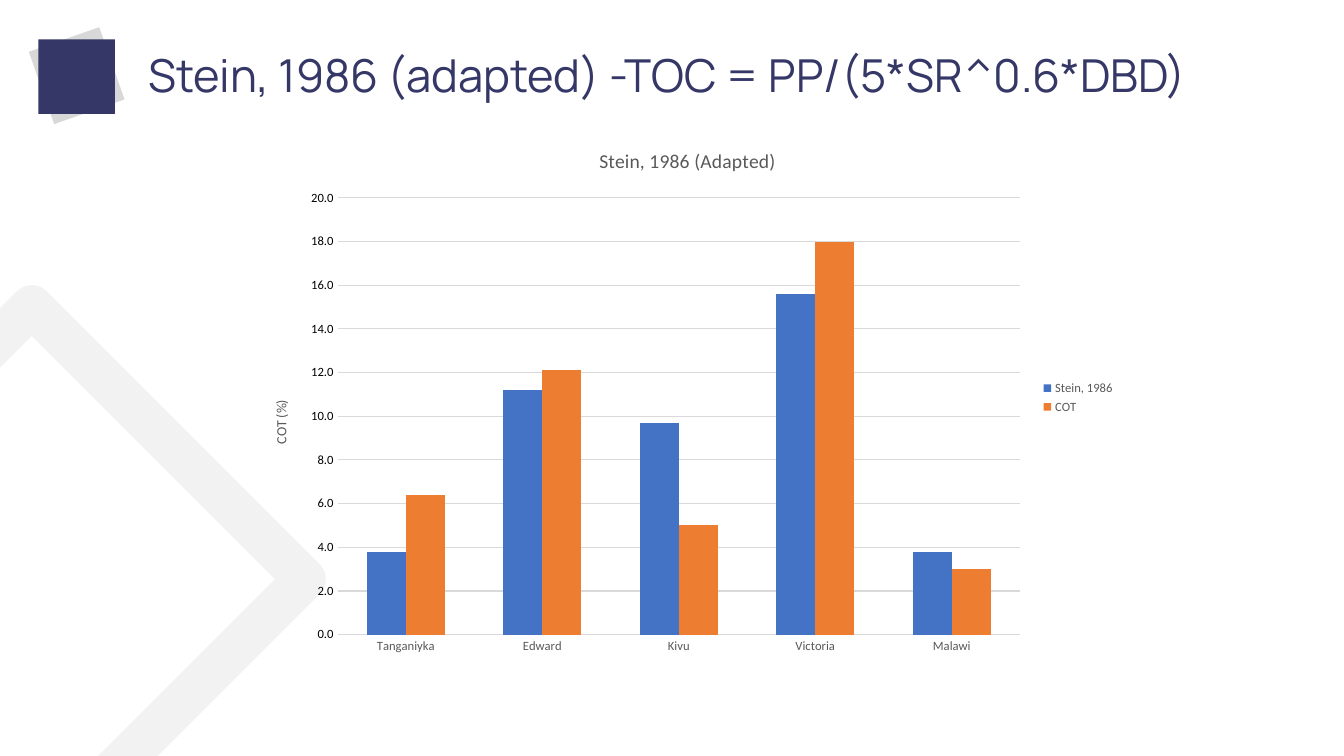
from lxml.etree import SubElement
from pptx import Presentation
from pptx.chart.data import CategoryChartData as ChartData
from pptx.dml.color import RGBColor
from pptx.enum.chart import XL_CHART_TYPE as ChartType
from pptx.enum.chart import XL_LEGEND_POSITION as LegendPosition
from pptx.enum.chart import XL_TICK_MARK as TickMark
from pptx.enum.shapes import MSO_SHAPE as Preset
from pptx.enum.text import MSO_ANCHOR as Anchor
from pptx.enum.text import MSO_AUTO_SIZE as AutoSize
from pptx.enum.text import PP_ALIGN as Align
from pptx.oxml.ns import qn
from pptx.util import Pt

NAVY = RGBColor(0x35, 0x37, 0x66)
SILVER = RGBColor(0xD8, 0xD8, 0xD8)
PALE = RGBColor(0xF2, 0xF2, 0xF2)
GRID = RGBColor(0xD9, 0xD9, 0xD9)
GREY = RGBColor(0x59, 0x59, 0x59)
BLACK = RGBColor(0, 0, 0)
BLUE = RGBColor(0x44, 0x72, 0xC4)
ORANGE = RGBColor(0xED, 0x7D, 0x31)

LAKES = ["Tanganiyka", "Edward", "Kivu", "Victoria", "Malawi"]
SERIES = [
    ("Stein, 1986", [3.8, 11.2, 9.7, 15.6, 3.8], BLUE),
    ("COT", [6.4, 12.1, 5, 18, 3], ORANGE),
]
# Fractions of the chart frame taken by the area inside the axes
PLOT_AREA = {"x": 0.1, "y": 0.13, "w": 0.78, "h": 0.81}


def apply_format(target, values):
    """Set each attribute named in values."""
    for name, value in values.items():
        setattr(target, name, value)


def place(shape, left, top, width, height):
    """Put a shape at a position given in points."""
    apply_format(shape, {"left": Pt(left), "top": Pt(top),
                         "width": Pt(width), "height": Pt(height)})


def style_font(font, size, color, name="Calibri"):
    """Format a font, upright and not bold."""
    apply_format(font, {"name": name, "size": Pt(size), "bold": False})
    font.color.rgb = color


def style_line(line, color, width):
    """Give a line its colour and width."""
    line.color.rgb = color
    line.width = Pt(width)


def add_square(page, frame, rotation=0, fill=None, line=None):
    """Add a rotated square, filled or outlined with round corners."""
    left, top, width, height = map(Pt, frame)
    square = page.shapes.add_shape(Preset.RECTANGLE, left, top, width, height)
    square.shadow.inherit = False
    square.rotation = rotation
    if fill is None:
        square.fill.background()
    else:
        square.fill.solid()
        square.fill.fore_color.rgb = fill
    if line is None:
        square.line.fill.background()
    else:
        style_line(square.line, *line)
        outline = square.element.spPr.find(qn("a:ln"))
        SubElement(outline, qn("a:round"))


def write_title(page, text):
    """Fill and format the title placeholder."""
    title = page.shapes.title
    place(title, 98.6, 28.8, 795.6, 53.3)
    frame = title.text_frame
    apply_format(frame, {"auto_size": AutoSize.NONE, "word_wrap": True,
                         "vertical_anchor": Anchor.MIDDLE})
    para = frame.paragraphs[0]
    apply_format(para, {"alignment": Align.LEFT, "line_spacing": 0.9})
    span = para.add_run()
    span.text = text
    style_font(span.font, 32.4, NAVY, "Manrope")


def write_chart_title(owner, text, size):
    """Write the title of a chart or an axis."""
    frame = owner.text_frame
    frame.text = text
    style_font(frame.paragraphs[0].runs[0].font, size, GREY)


def fix_plot_area(chart):
    """Pin the inner plot area with a manual layout."""
    plot_area = chart.element.chart.plotArea
    layout = plot_area.find(qn("c:layout"))
    if layout is None:
        layout = SubElement(plot_area, qn("c:layout"))
        plot_area.insert(0, layout)
    manual = SubElement(layout, qn("c:manualLayout"))
    settings = {"layoutTarget": "inner", "xMode": "edge", "yMode": "edge"}
    for name, value in {**settings, **PLOT_AREA}.items():
        SubElement(manual, qn("c:" + name)).set("val", str(value))


def style_axes(chart):
    """Format both axes and the gridlines."""
    lakes, content = chart.category_axis, chart.value_axis
    for axis, color in ((lakes, GREY), (content, BLACK)):
        apply_format(axis, {"major_tick_mark": TickMark.NONE,
                            "minor_tick_mark": TickMark.NONE})
        style_font(axis.tick_labels.font, 9, color)
    style_line(lakes.format.line, GRID, 0.75)
    content.format.line.fill.background()
    apply_format(content, {"minimum_scale": 0, "maximum_scale": 20,
                           "major_unit": 2, "has_major_gridlines": True})
    style_line(content.major_gridlines.format.line, GRID, 0.75)
    apply_format(content.tick_labels, {"number_format": "0.0",
                                       "number_format_is_linked": False})
    write_chart_title(content.axis_title, "COT (%)", 10)


def add_column_chart(page):
    """Add the clustered columns comparing the two series by lake."""
    data = ChartData(number_format="0.0")
    data.categories = LAKES
    for name, values, _ in SERIES:
        data.add_series(name, values)
    chart = page.shapes.add_chart(ChartType.COLUMN_CLUSTERED, Pt(178.6), Pt(91.4),
                                  Pt(625), Pt(385.2), data).chart
    style_font(chart.font, 10, BLACK)
    apply_format(chart, {"has_title": True, "has_legend": True})
    write_chart_title(chart.chart_title, "Stein, 1986 (Adapted)", 14)
    chart.chart_title.include_in_layout = False
    apply_format(chart.legend, {"position": LegendPosition.RIGHT,
                                "include_in_layout": False})
    style_font(chart.legend.font, 9, GREY)
    plot = chart.plots[0]
    apply_format(plot, {"gap_width": 150, "overlap": 0,
                        "vary_by_categories": False})
    for series, (_, _, color) in zip(plot.series, SERIES):
        series.format.fill.solid()
        series.format.fill.fore_color.rgb = color
    style_axes(chart)
    fix_plot_area(chart)


def main():
    """Build the slide and save it."""
    deck = Presentation()
    apply_format(deck, {"slide_width": Pt(960), "slide_height": Pt(540)})
    page = deck.slides.add_slide(deck.slide_layouts[5])
    add_square(page, (-115.2, 275.8, 275.8, 275.8), 45, line=(PALE, 30))
    add_square(page, (27.4, 27.4, 54.7, 53.3), 70.7, fill=SILVER)
    add_square(page, (27.4, 28.1, 54.7, 53.3), fill=NAVY)
    write_title(page, "Stein, 1986 (adapted) -TOC = PP/(5*SR^0.6*DBD)")
    add_column_chart(page)
    deck.save("out.pptx")


main()
